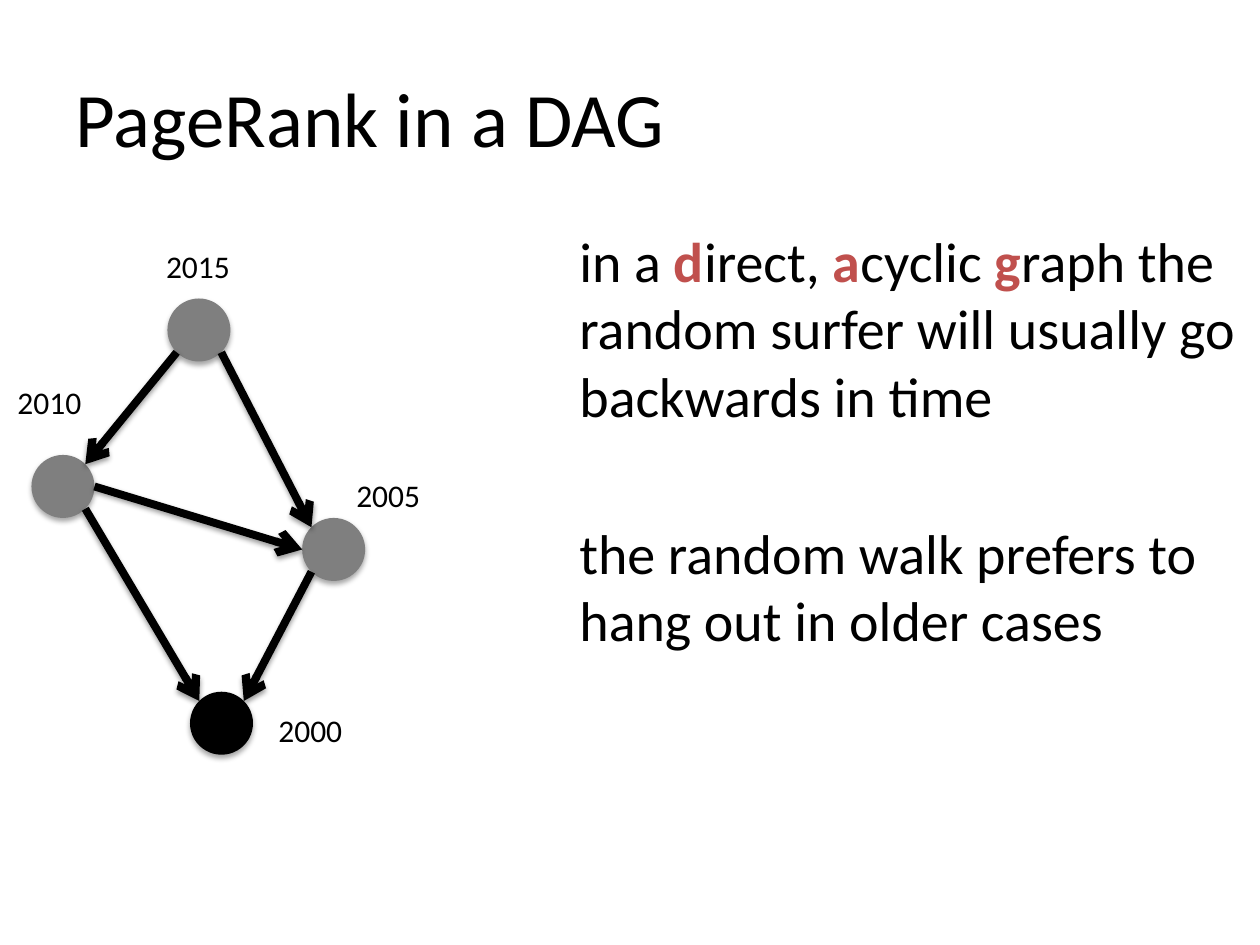
from math import cos, pi, sin

from lxml import etree
from pptx import Presentation
from pptx.dml.color import RGBColor
from pptx.enum import shapes, text
from pptx.oxml.ns import qn
from pptx.util import Pt


def paint(font, size, color="000000", bold=False):
    font.name, font.size, font.bold = "Calibri", Pt(size), bold
    font.color.rgb = RGBColor.from_string(color)


def shade(shape, dist, alpha):
    """Add a soft black shadow straight below the shape."""
    glow = etree.SubElement(shape._element.spPr, qn("a:effectLst"))
    drop = etree.SubElement(glow, qn("a:outerShdw"), blurRad=str(Pt(3.1)),
                            dist=str(Pt(dist)), dir="5400000", rotWithShape="0")
    black = etree.SubElement(drop, qn("a:srgbClr"), val="000000")
    etree.SubElement(black, qn("a:alpha"), val=str(alpha * 1000))


deck = Presentation()
deck.slide_width, deck.slide_height = Pt(720), Pt(540)
slide = deck.slides.add_slide(deck.slide_layouts[5])
items = slide.shapes

# Title
title = items.title
title.left, title.top, title.width, title.height = Pt(36), Pt(21.6), Pt(648), Pt(90)
title.text_frame.vertical_anchor = text.MSO_ANCHOR.MIDDLE
para = title.text_frame.paragraphs[0]
para.alignment = text.PP_ALIGN.LEFT
run = para.add_run()
run.text = "PageRank in a DAG"
paint(run.font, 44)

# Explanation: each paragraph is a list of (words, accented)
body = [
    [("in a ", False), ("d", True), ("irect, ", False), ("a", True),
     ("cyclic ", False), ("g", True),
     ("raph the random surfer will usually go backwards in time", False)],
    [("the random walk prefers to hang out in older cases", False)],
]
frame = items.add_textbox(Pt(324), Pt(126), Pt(396), Pt(356.4)).text_frame
frame.word_wrap = True
for i, parts in enumerate(body):
    para = frame.add_paragraph() if i else frame.paragraphs[0]
    para.space_before = Pt(51.4 if i else 0)
    for words, accent in parts:
        run = para.add_run()
        run.text = words
        paint(run.font, 32, "C0504D" if accent else "000000", accent)

# Nodes and year labels: node centre, label corner, fill
rad = 18
nodes = {
    "2010": ((36, 278), (2.9, 215.3), "7F7F7F"),
    "2000": ((126.6, 413.3), (152, 402.5), "000000"),
    "2005": ((190.7, 314), (196.5, 268.6), "7F7F7F"),
    "2015": ((113.7, 188.6), (87.8, 137.5), "7F7F7F"),
}
for year, ((x, y), (left, top), color) in nodes.items():
    dot = items.add_shape(shapes.MSO_SHAPE.OVAL, Pt(x - rad), Pt(y - rad),
                          Pt(2 * rad), Pt(2 * rad))
    dot.name = "Case " + year
    dot.fill.solid()
    dot.fill.fore_color.rgb = RGBColor.from_string(color)
    dot.line.fill.background()
    shade(dot, 1.8, 35)

    label = items.add_textbox(Pt(left), Pt(top), Pt(51), Pt(29)).text_frame
    label.auto_size = text.MSO_AUTO_SIZE.SHAPE_TO_FIT_TEXT
    run = label.paragraphs[0].add_run()
    run.text = year
    paint(run.font, 18)

# Citations: from, angle on its rim, to, angle on its rim (clockwise from right)
edges = [
    ("2005", 135, "2000", 315),
    ("2010", 45, "2000", 225),
    ("2015", 135, "2010", 315),
    ("2015", 45, "2005", 225),
    ("2010", 0, "2005", 180),
]
for start, out, end, into in edges:
    ends = []
    for year, angle in ((start, out), (end, into)):
        x, y = nodes[year][0]
        turn = angle * pi / 180
        ends += [Pt(x + rad * cos(turn)), Pt(y + rad * sin(turn))]
    arrow = items.add_connector(shapes.MSO_CONNECTOR.STRAIGHT, *ends)
    arrow.name = f"Citation {start} to {end}"
    arrow.line.width = Pt(4.5)
    arrow.line.color.rgb = RGBColor.from_string("000000")
    etree.SubElement(arrow.line._get_or_add_ln(), qn("a:tailEnd"), type="arrow")
    shade(arrow, 1.6, 38)

deck.save("out.pptx")
